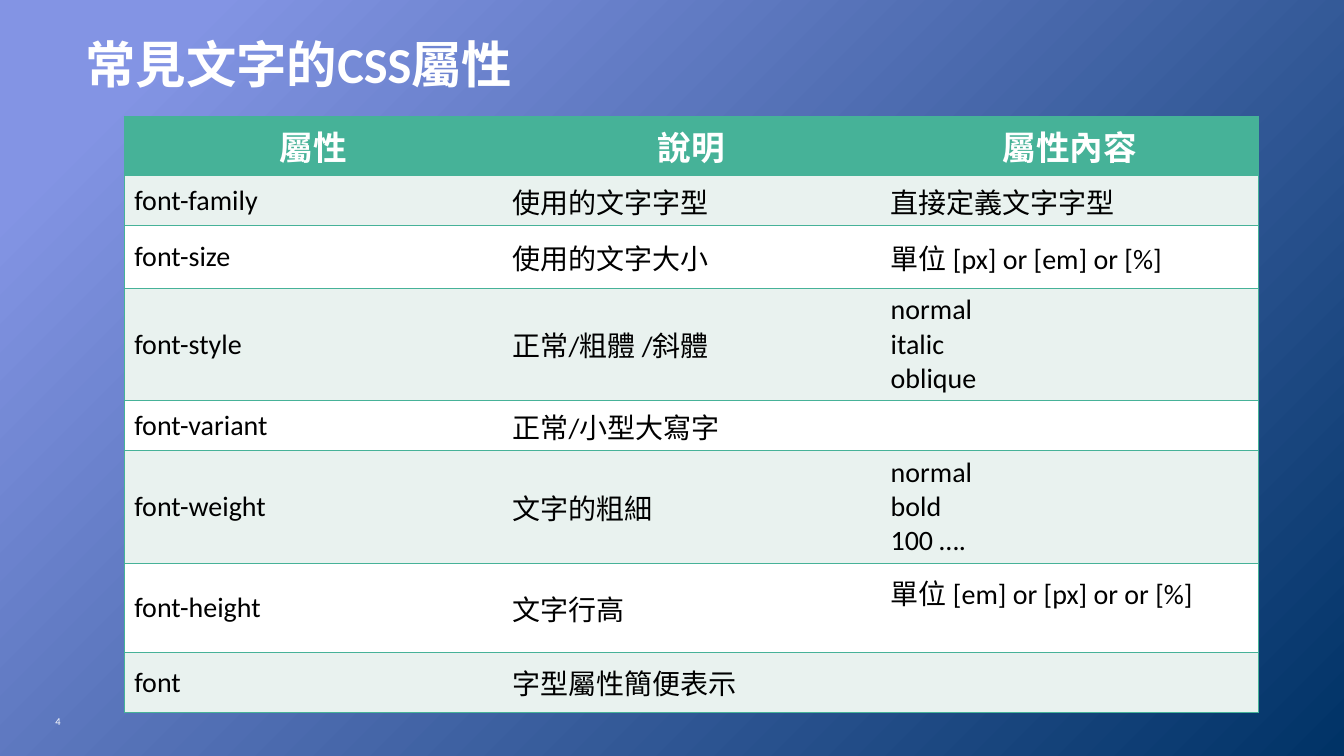
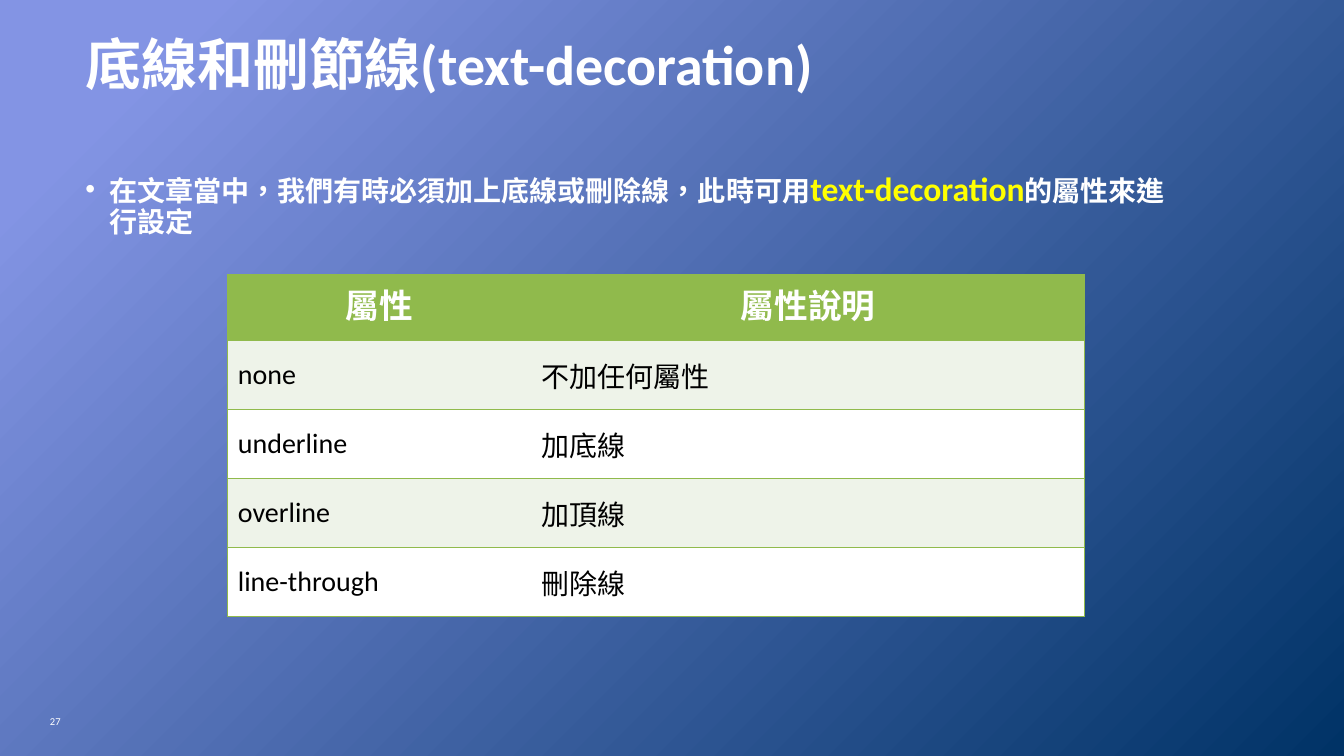
from dataclasses import dataclass

from lxml.etree import SubElement
from pptx import Presentation
from pptx.dml.color import RGBColor as RGB
from pptx.enum.lang import MSO_LANGUAGE_ID as Language
from pptx.enum.text import MSO_ANCHOR as Anchor, PP_ALIGN as Align
from pptx.oxml.ns import qn
from pptx.util import Cm, Pt


@dataclass(frozen=True)
class Theme:
    font: str = "Calibri"
    backdrop: tuple = ((0.1, "8394E4"), (1, "003366"))
    white: str = "FFFFFF"
    black: str = "000000"
    highlight: str = "FFFF00"
    teal: tuple = ("46B298", "E9F2EF")
    green: tuple = ("90BA4C", "EEF3E9")
    title_size: float = 40
    long_title_size: float = 36
    heading_size: float = 24
    body_size: float = 20
    number_size: float = 7.5


THEME = Theme()


def set_format(target, values):
    for name, value in values.items():
        setattr(target, name, value)


class Deck:
    def __init__(self, theme):
        self.theme = theme
        self.show = Presentation()
        set_format(self.show, {"slide_width": Cm(33.87), "slide_height": Cm(19.05)})
        self.slide = None

    def new_slide(self, title, number, title_size):
        self.slide = self.show.slides.add_slide(self.show.slide_layouts[6])
        fill = self.slide.background.fill
        fill.gradient()
        fill.gradient_angle = 315
        for stop, (position, color) in zip(fill.gradient_stops, self.theme.backdrop):
            stop.position = position
            stop.color.rgb = RGB.from_string(color)

        heading = self.text_box(1.9, 0.41, 28.15, 2.56, Anchor.MIDDLE)
        heading.line_spacing = 0.9
        self.add_text(heading, title, title_size, bold=True)
        footer = self.text_box(0.25, 17.66, 1.53, 1.04, Anchor.MIDDLE)
        footer.alignment = Align.RIGHT
        self.add_text(footer, str(number), self.theme.number_size)

    def text_box(self, left, top, width, height, anchor=Anchor.TOP):
        """Add a wrapping text box and return its first paragraph."""
        box = self.slide.shapes.add_textbox(Cm(left), Cm(top), Cm(width), Cm(height))
        set_format(box.text_frame, {"word_wrap": True, "vertical_anchor": anchor})
        return box.text_frame.paragraphs[0]

    def add_text(self, paragraph, text, size, color=None, bold=False):
        """Append text to a paragraph, with each newline as a line break."""
        for index, line in enumerate(text.split("\n")):
            if index:
                paragraph.add_line_break()
            run = paragraph.add_run()
            run.text = line
            set_format(run.font, {
                "name": self.theme.font,
                "size": Pt(size),
                "bold": bold,
                "language_id": Language.TRADITIONAL_CHINESE,
            })
            run.font.color.rgb = RGB.from_string(color or self.theme.white)

    def bullet(self, left, top, width, height, pieces):
        """Add a bulleted paragraph from (text, size, color) pieces."""
        paragraph = self.text_box(left, top, width, height)
        set_format(paragraph, {"line_spacing": 0.9, "space_after": Pt(7.5)})
        properties = paragraph._p.get_or_add_pPr()
        indent = Cm(0.6)
        properties.set("marL", str(indent))
        properties.set("indent", str(-indent))
        bullet_color = SubElement(properties, qn("a:buClr"))
        SubElement(bullet_color, qn("a:srgbClr"), val=self.theme.white)
        SubElement(properties, qn("a:buFont"), typeface="Arial")
        SubElement(properties, qn("a:buChar"), char="•")
        for text, size, color in pieces:
            self.add_text(paragraph, text, size, color, bold=True)

    def table(self, left, top, widths, heights, rows, palette):
        """Add a table with a coloured header row and alternating body rows."""
        accent, tint = palette
        table = self.slide.shapes.add_table(
            len(rows), len(widths), Cm(left), Cm(top), Cm(sum(widths)), Cm(sum(heights))
        ).table
        for column, width in zip(table.columns, widths):
            column.width = Cm(width)
        for r, (texts, height) in enumerate(zip(rows, heights)):
            table.rows[r].height = Cm(height)
            header = r == 0
            fill = accent if header else (tint if r % 2 else self.theme.white)
            for c, text in enumerate(texts):
                cell = table.cell(r, c)
                self.borders(cell, accent, c == 0, c == len(widths) - 1)
                cell.fill.solid()
                cell.fill.fore_color.rgb = RGB.from_string(fill)
                cell.vertical_anchor = Anchor.TOP if header else Anchor.MIDDLE
                paragraph = cell.text_frame.paragraphs[0]
                if header:
                    paragraph.alignment = Align.CENTER
                    self.add_text(paragraph, text, self.theme.heading_size, bold=True)
                elif text:
                    self.add_text(paragraph, text, self.theme.body_size, self.theme.black)
        return table

    @staticmethod
    def borders(cell, color, first, last):
        """Rule every row, but only the outer sides of the table."""
        properties = cell._tc.get_or_add_tcPr()
        sides = {"a:lnL": first, "a:lnR": last, "a:lnT": True, "a:lnB": True}
        for side, visible in sides.items():
            line = SubElement(properties, qn(side), w=str(Pt(1)))
            if visible:
                SubElement(SubElement(line, qn("a:solidFill")), qn("a:srgbClr"), val=color)
            else:
                SubElement(line, qn("a:noFill"))


def text_properties(deck):
    deck.new_slide("常見文字的CSS屬性", 4, THEME.long_title_size)
    rows = [
        ("屬性", "說明", "屬性內容"),
        ("font-family", "使用的文字字型", "直接定義文字字型"),
        ("font-size", "使用的文字大小", "單位 [px] or [em] or [%]"),
        ("font-style", "正常/粗體 /斜體", "normal\nitalic\noblique"),
        ("font-variant", "正常/小型大寫字", ""),
        ("font-weight", "文字的粗細", "normal\nbold\n100 …."),
        ("font-height", "文字行高", "單位 [em] or [px] or or [%]"),
        ("font", "字型屬性簡便表示", ""),
    ]
    heights = [1.5, 1.25, 1.58, 2.84, 1.25, 2.84, 2.26, 1.5]
    properties = deck.table(3.13, 2.93, [9.53] * 3, heights, rows, THEME.teal)
    line_height_units = properties.cell(6, 2)
    line_height_units.margin_bottom = Cm(0.9)


def text_decoration(deck):
    deck.new_slide("底線和刪節線(text-decoration)", 27, THEME.title_size)
    deck.bullet(1.9, 4.22, 28.15, 11.88, [
        ("在文章當中，我們有時必須加上底線或刪除線，此時可用", THEME.body_size, THEME.white),
        ("text-decoration", THEME.heading_size, THEME.highlight),
        ("的屬性來進行設定", THEME.body_size, THEME.white),
    ])
    rows = [
        ("屬性", "屬性說明"),
        ("none", "不加任何屬性"),
        ("underline", "加底線"),
        ("overline", "加頂線"),
        ("line-through", "刪除線"),
    ]
    heights = [1.66] + [1.74] * 4
    deck.table(5.74, 6.92, [7.65, 13.95], heights, rows, THEME.green)


def main():
    deck = Deck(THEME)
    text_properties(deck)
    text_decoration(deck)
    deck.show.save("out.pptx")


if __name__ == "__main__":
    main()
